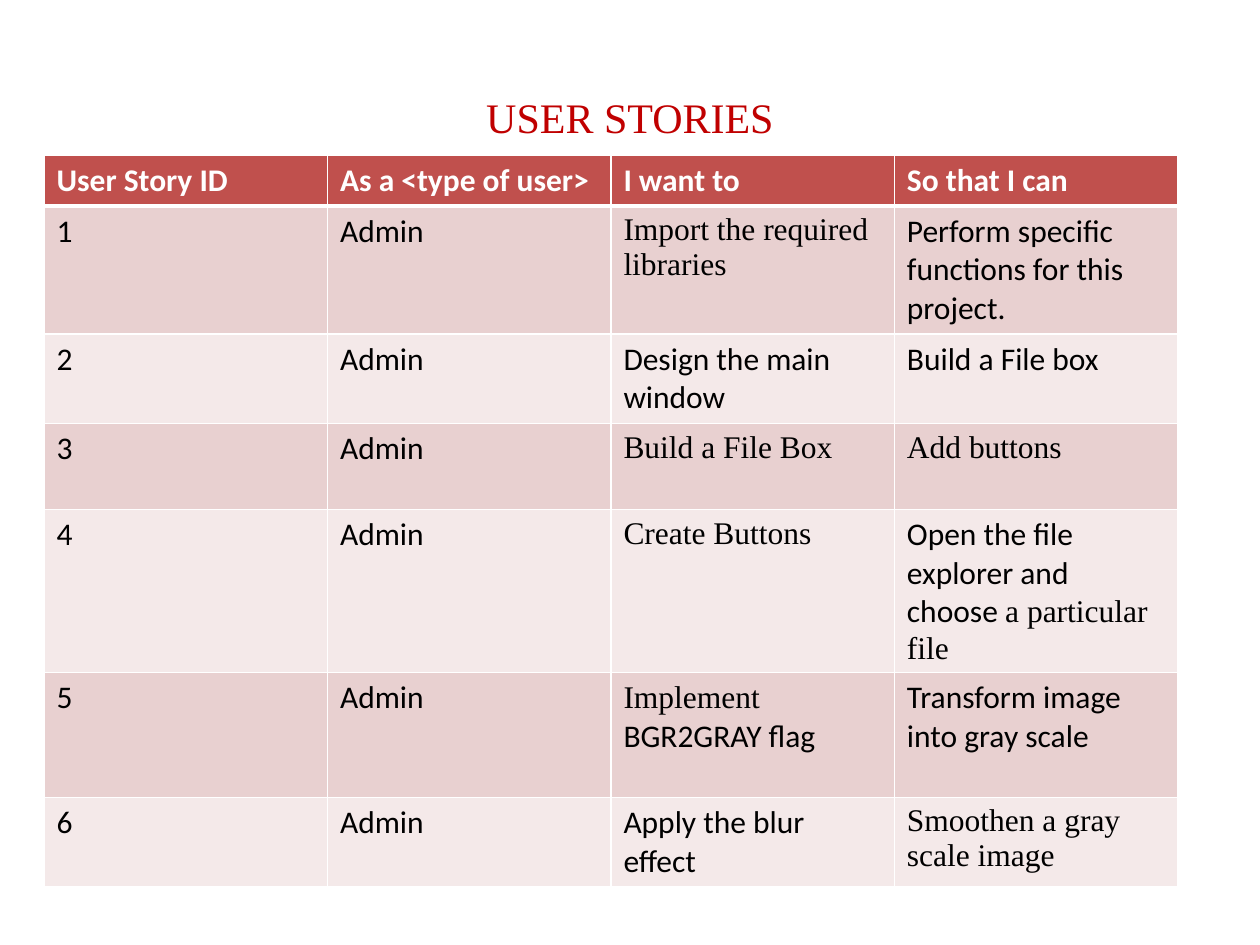
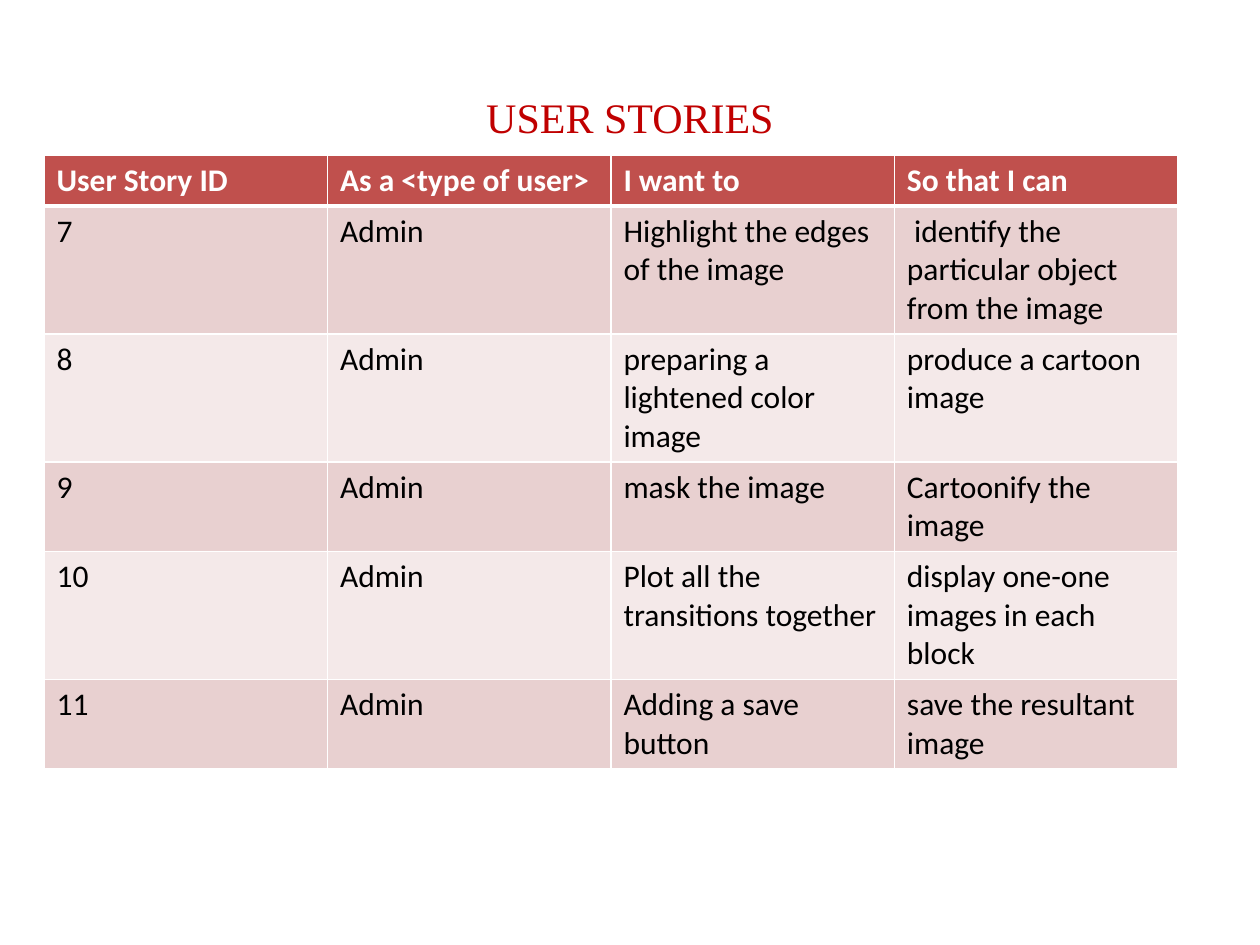
"""Build two slides of user stories, each a title above a banded table."""
from lxml.etree import SubElement
from pptx import Presentation
from pptx.dml.color import RGBColor
from pptx.enum.text import MSO_ANCHOR, PP_ALIGN
from pptx.oxml.ns import qn
from pptx.util import Pt

PX = 914400 // 126
SANS, SERIF = "Calibri", "Times New Roman"
RED, HEADER, WHITE, BLACK = "C00000", "C0504D", "FFFFFF", "000000"
BANDS = ("E8D0D0", "F4E9E9")

TITLE = "USER STORIES"
TITLE_BOX = (63, 38, 1134, 157)
TABLE_LEFT, TABLE_TOP, TABLE_WIDTH = 44, 155, 1134
HEADER_HEIGHT = 51
HEADINGS = ("User Story ID", "As a <type of user>", "I want to", "So that I can")
USER = "Admin"


def sans(text):
    return [(text, SANS)]


def serif(text):
    return [(text, SERIF)]


STORIES_BY_SLIDE = [
    [
        (128, serif("Import the required libraries"),
         sans("Perform specific functions for this project.")),
        (89, sans("Design the main window"), sans("Build a File box")),
        (86, serif("Build a File Box"), serif("Add buttons")),
        (163, serif("Create Buttons"),
         sans("Open the file explorer and choose ") + serif("a particular file")),
        (125, serif("Implement ") + sans(" BGR2GRAY flag"),
         sans("Transform image into gray scale")),
        (89, sans("Apply the blur effect"), serif("Smoothen a gray scale image")),
    ],
    [
        (128, sans("Highlight the edges of the image"),
         sans(" identify the particular object from the image")),
        (128, sans("preparing a lightened color image"), sans("produce a cartoon image")),
        (89, sans("mask the image"), sans("Cartoonify the image")),
        (128, sans("Plot all the transitions together"),
         sans("display one-one images in each block")),
        (89, sans("Adding a save button"), sans("save the resultant image")),
    ],
]


def px(length):
    return int(length * PX)


def rgb(value):
    return RGBColor.from_string(value)


def add_runs(paragraph, runs, size, color, bold=False):
    for text, font_name in runs:
        run = paragraph.add_run()
        run.text = text
        run.font.name = font_name
        run.font.size = Pt(size)
        run.font.bold = bold
        run.font.color.rgb = rgb(color)


def set_borders(cell, top, bottom):
    properties = cell._tc.get_or_add_tcPr()
    for side, width in (("L", 1), ("R", 1), ("T", top), ("B", bottom)):
        border = SubElement(properties, qn(f"a:ln{side}"), w=str(Pt(width)))
        fill = SubElement(border, qn("a:solidFill"))
        SubElement(fill, qn("a:srgbClr"), val=WHITE)


def add_title(slide):
    title = slide.shapes.title
    title.left, title.top, title.width, title.height = map(px, TITLE_BOX)
    title.text_frame.vertical_anchor = MSO_ANCHOR.MIDDLE
    paragraph = title.text_frame.paragraphs[0]
    paragraph.alignment = PP_ALIGN.CENTER
    add_runs(paragraph, serif(TITLE), 24, RED)


def add_stories(slide, stories, first_id):
    rows = [(HEADER_HEIGHT, [sans(heading) for heading in HEADINGS])]
    for story_id, (height, want, benefit) in enumerate(stories, first_id):
        rows.append((height, [sans(str(story_id)), sans(USER), want, benefit]))
    total_height = sum(height for height, _ in rows)
    table = slide.shapes.add_table(
        len(rows), len(HEADINGS), px(TABLE_LEFT), px(TABLE_TOP),
        px(TABLE_WIDTH), px(total_height)).table
    for column in table.columns:
        column.width = px(TABLE_WIDTH / len(HEADINGS))
    for r, (height, cells) in enumerate(rows):
        is_header = r == 0
        table.rows[r].height = px(height)
        for c, runs in enumerate(cells):
            cell = table.cell(r, c)
            set_borders(cell, 3 if r == 1 else 1, 3 if is_header else 1)
            cell.fill.solid()
            cell.fill.fore_color.rgb = rgb(HEADER if is_header else BANDS[(r - 1) % 2])
            add_runs(cell.text_frame.paragraphs[0], runs, 18,
                     WHITE if is_header else BLACK, is_header)


def main():
    deck = Presentation()
    deck.slide_width, deck.slide_height = px(1260), px(945)
    first_id = 1
    for stories in STORIES_BY_SLIDE:
        slide = deck.slides.add_slide(deck.slide_layouts[5])
        add_title(slide)
        add_stories(slide, stories, first_id)
        first_id += len(stories)
    deck.save("out.pptx")


if __name__ == "__main__":
    main()
